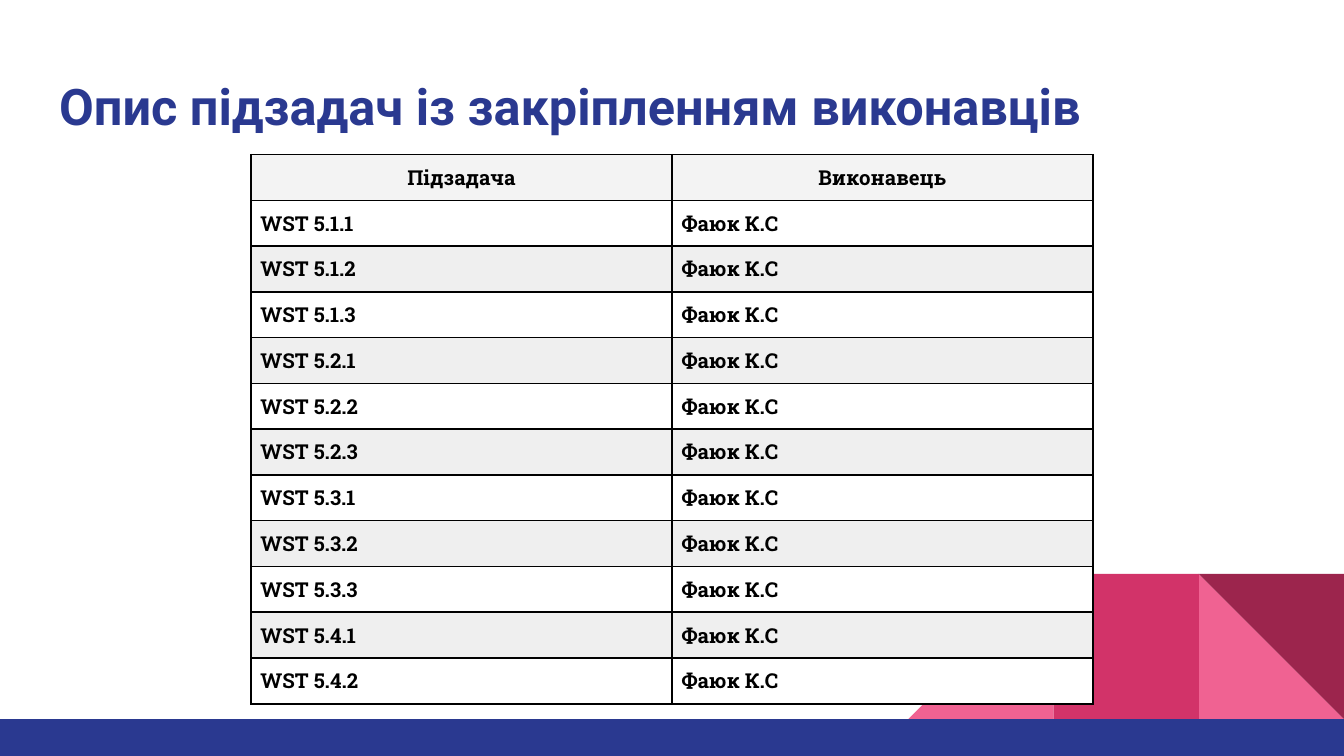
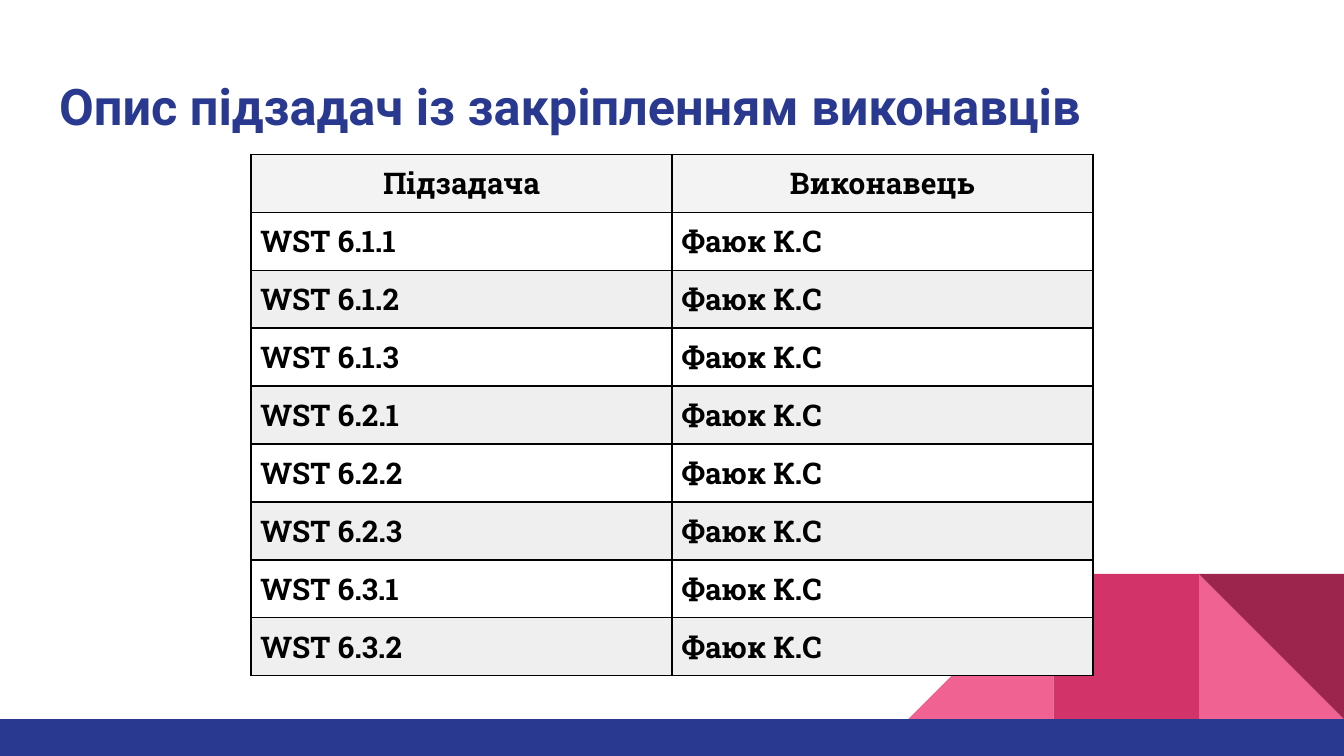
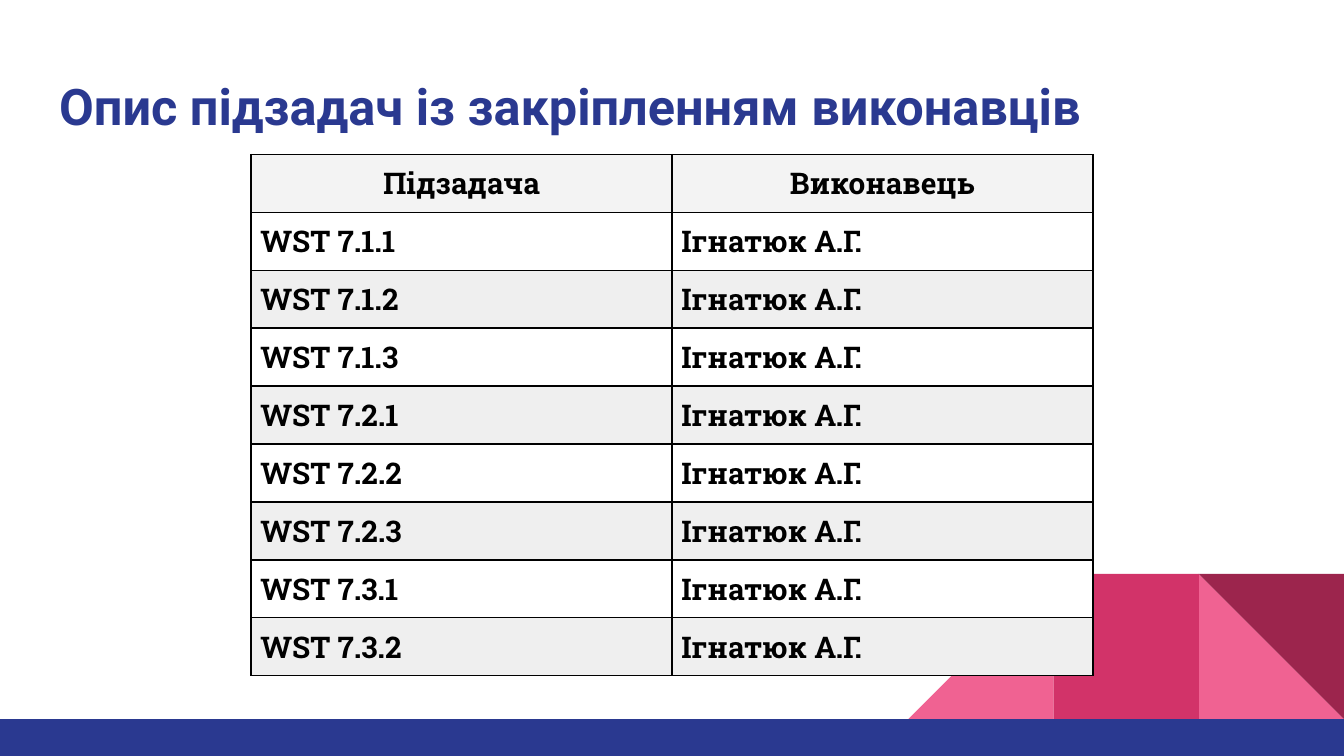
from lxml import etree
from pptx import Presentation
from pptx import util as u
from pptx.dml.color import RGBColor
from pptx.enum import shapes, text
from pptx.oxml import ns

BLUE = RGBColor(0x2A, 0x39, 0x90)
PINK = RGBColor(0xF0, 0x62, 0x92)
CRIMSON = RGBColor(0xD2, 0x33, 0x69)
WINE = RGBColor(0x9C, 0x25, 0x4D)
BLACK = RGBColor(0, 0, 0)
WHITE = RGBColor(0xFF, 0xFF, 0xFF)
HEADER_GREY = RGBColor(0xF3, 0xF3, 0xF3)
BAND_GREY = RGBColor(0xEF, 0xEF, 0xEF)

PAGE_WIDTH, PAGE_HEIGHT = 720, 405
FOOTER_TOP = 385.2
TILE = 77.8
TITLE_ONLY = 5

TITLE = "Опис підзадач із закріпленням виконавців"
HEADER = ("Підзадача", "Виконавець")
TASK_PAGES = (
    (5, (3, 3, 3, 2), "Фаюк К.С", 11, 24.5),
    (6, (3, 3, 2), "Фаюк К.С", 16, 31),
    (7, (3, 3, 2), "Ігнатюк А.Г.", 16, 31),
)


class TaskDeck:
    """Holds the deck style and the current page."""

    def __init__(self):
        self.deck = Presentation()
        self.deck.slide_width = u.Pt(PAGE_WIDTH)
        self.deck.slide_height = u.Pt(PAGE_HEIGHT)
        self.layout = self.deck.slide_layouts[TITLE_ONLY]
        self.page = None

    def add_page(self):
        self.page = self.deck.slides.add_slide(self.layout)
        if len(self.deck.slides) == 1:
            self.decorate_layout()

    def decorate_layout(self):
        title, *extras = self.layout.placeholders
        for extra in extras:
            extra.element.getparent().remove(extra.element)
        group = self.page.shapes.add_group_shape()
        kinds = shapes.MSO_SHAPE
        tiles = (
            (kinds.RIGHT_TRIANGLE, 1, PINK, 0),
            (kinds.RIGHT_TRIANGLE, 3, PINK, 270),
            (kinds.RECTANGLE, 2, CRIMSON, 0),
            (kinds.RIGHT_TRIANGLE, 1, WINE, 180),
        )
        for kind, steps, color, angle in tiles:
            left = PAGE_WIDTH - steps * TILE
            tile = self.add_block(group, kind, left, FOOTER_TOP - TILE, TILE, TILE, color)
            tile.rotation = angle
        self.add_block(group, kinds.RECTANGLE, 0, FOOTER_TOP,
                       PAGE_WIDTH, PAGE_HEIGHT - FOOTER_TOP, BLUE)
        title.element.addprevious(group.element)

    def add_block(self, group, kind, left, top, width, height, color):
        block = group.shapes.add_shape(kind, u.Pt(left), u.Pt(top), u.Pt(width), u.Pt(height))
        block.shadow.inherit = False
        block.fill.solid()
        block.fill.fore_color.rgb = color
        block.line.fill.background()
        return block

    def add_span(self, para, words, font, size, color):
        span = para.add_run()
        span.text = words
        span.font.name = font
        span.font.size = u.Pt(size)
        span.font.bold = True
        span.font.color.rgb = color

    def add_title(self, words):
        box = self.page.shapes.title
        box.left, box.top, box.width, box.height = map(u.Pt, (24.5, 32.4, 671, 47.5))
        frame = box.text_frame
        frame.word_wrap = True
        frame.auto_size = text.MSO_AUTO_SIZE.NONE
        frame.vertical_anchor = text.MSO_ANCHOR.BOTTOM
        frame.margin_left = frame.margin_right = u.Pt(7.2)
        frame.margin_top = frame.margin_bottom = u.Pt(7.2)
        para = frame.paragraphs[0]
        para.alignment = text.PP_ALIGN.LEFT
        self.add_span(para, words, "Roboto", 27, BLUE)

    def add_borders(self, cell):
        properties = cell._tc.get_or_add_tcPr()
        for side in ("lnL", "lnR", "lnT", "lnB"):
            line = etree.SubElement(properties, ns.qn(f"a:{side}"), w=str(u.Pt(1)))
            fill = etree.SubElement(line, ns.qn("a:solidFill"))
            etree.SubElement(fill, ns.qn("a:srgbClr"), val=str(BLACK))

    def add_table(self, rows, size, row_height):
        frame = self.page.shapes.add_table(
            len(rows), len(HEADER), u.Pt(134.5), u.Pt(82.8),
            u.Pt(451), u.Pt(row_height * len(rows)))
        table = frame.table
        table.first_row = table.horz_banding = False
        for index, row in enumerate(rows):
            table.rows[index].height = u.Pt(row_height)
            color = BAND_GREY if index % 2 == 0 else WHITE
            for column, words in enumerate(row):
                cell = table.cell(index, column)
                cell.margin_left = cell.margin_right = u.Pt(5)
                cell.margin_top = cell.margin_bottom = u.Pt(5)
                self.add_borders(cell)
                cell.fill.solid()
                cell.fill.fore_color.rgb = color if index else HEADER_GREY
                para = cell.text_frame.paragraphs[0]
                para.alignment = text.PP_ALIGN.LEFT if index else text.PP_ALIGN.CENTER
                self.add_span(para, words, "Roboto Slab", size, BLACK)


def main():
    """Build one page of assignments per work stage."""
    builder = TaskDeck()
    for stage, counts, person, size, row_height in TASK_PAGES:
        rows = [HEADER]
        for part, count in enumerate(counts, 1):
            rows += [(f"WST {stage}.{part}.{step}", person) for step in range(1, count + 1)]
        builder.add_page()
        builder.add_title(TITLE)
        builder.add_table(rows, size, row_height)
    builder.deck.save("out.pptx")


if __name__ == "__main__":
    main()
